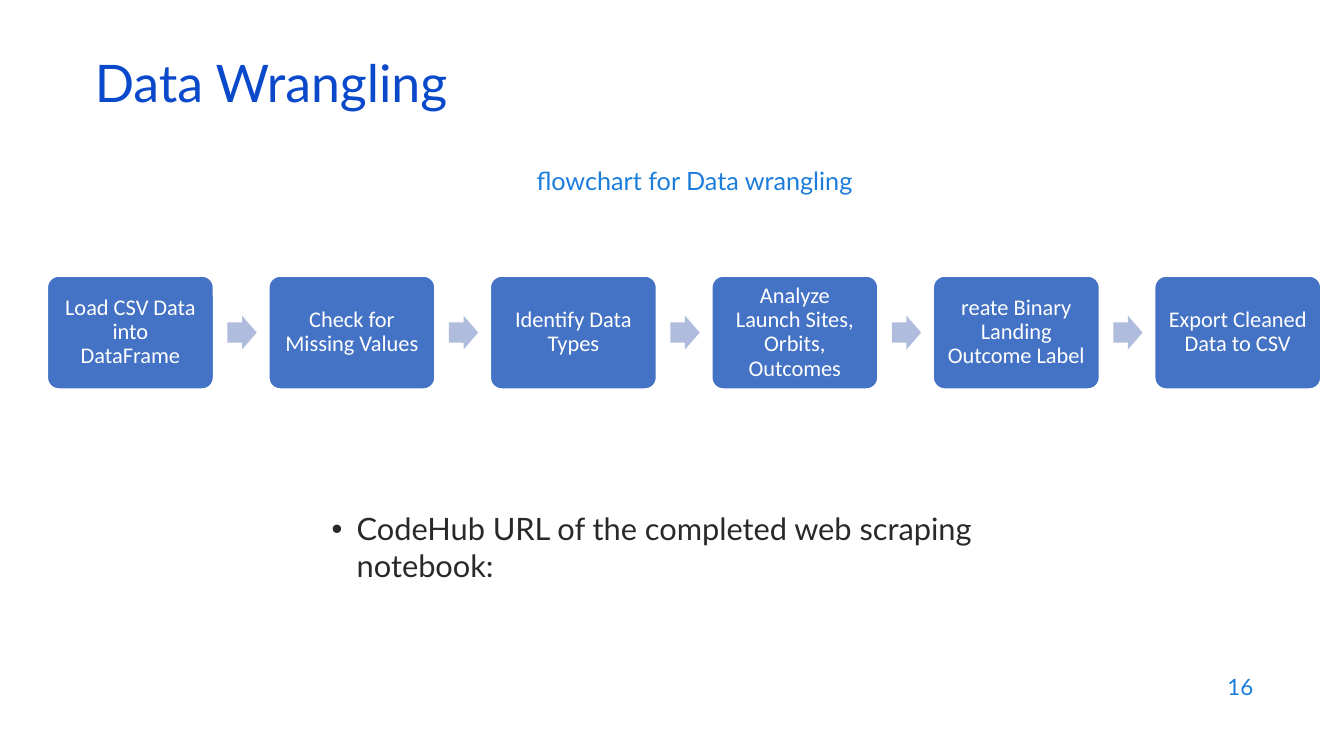
from pptx import Presentation
from pptx.dml.color import RGBColor
from pptx.enum.shapes import MSO_SHAPE as Shape
from pptx.enum.text import MSO_ANCHOR as Anchor, MSO_AUTO_SIZE as AutoSize, PP_ALIGN as Align
from pptx.oxml.ns import qn
from pptx.util import Inches, Pt
from lxml.etree import SubElement

COLORS = {
    "title": "0B49CB",
    "accent": "1C7DDB",
    "body": "292929",
    "card": "4472C4",
    "arrow": "B0BCDE",
    "white": "FFFFFF",
}
WIDTH, HEIGHT = Inches(13.33), Inches(7.5)
STEPS = [
    "Load CSV Data into DataFrame",
    "Check for Missing Values",
    "Identify Data Types",
    "Analyze Launch Sites, Orbits, Outcomes",
    "reate Binary Landing Outcome Label",
    "Export Cleaned Data to CSV",
]


def share_box(left, top, width, height):
    """Turn percentages of the slide into a box in EMU."""
    return [int(share * side / 100) for share, side in
            zip((left, top, width, height), (WIDTH, HEIGHT, WIDTH, HEIGHT))]


def write(shape, text, size, color, font="Lato", align=Align.LEFT, anchor=Anchor.TOP):
    """Put one formatted paragraph in a shape and return it."""
    frame = shape.text_frame
    frame.word_wrap = True
    frame.auto_size = AutoSize.NONE
    frame.vertical_anchor = anchor
    paragraph = frame.paragraphs[0]
    paragraph.text = text
    paragraph.alignment = align
    paragraph.font.size = Pt(size)
    paragraph.font.name = font
    paragraph.font.color.rgb = RGBColor.from_string(COLORS[color])
    return paragraph


def add_title(slide, box):
    """Place the slide title."""
    title = slide.shapes.title
    title.left, title.top, title.width, title.height = box
    paragraph = write(title, "Data Wrangling", 37, "title", anchor=Anchor.MIDDLE)
    paragraph.line_spacing = 0.7


def add_label(slide, box, text, size, align, anchor=Anchor.TOP):
    """Place a short accent-coloured text."""
    write(slide.shapes.add_textbox(*box), text, size, "accent", align=align, anchor=anchor)


def add_block(slide, kind, box, color, adjustments):
    """Draw a filled preset shape without shadow or line."""
    block = slide.shapes.add_shape(kind, *map(int, box))
    block.shadow.inherit = False
    block.fill.solid()
    block.fill.fore_color.rgb = RGBColor.from_string(COLORS[color])
    block.line.fill.background()
    for index, value in enumerate(adjustments):
        block.adjustments[index] = value
    return block


def add_flowchart(slide, box, steps):
    """Spread the steps evenly over the box, with an arrow in each gap."""
    left, top, width, height = box
    pitch = width / (len(steps) - 0.25)
    card_width, gap = pitch * 0.75, pitch * 0.25
    for index, step in enumerate(steps):
        card_left = left + index * pitch
        card = add_block(slide, Shape.ROUNDED_RECTANGLE,
                         (card_left, top, card_width, height), "card", [0.1])
        card.line.color.rgb = RGBColor.from_string(COLORS["white"])
        card.line.width = Pt(1)
        frame = card.text_frame
        frame.margin_left = frame.margin_right = Inches(0.1)
        paragraph = write(card, step, 16, "white", "Calibri", Align.CENTER, Anchor.MIDDLE)
        paragraph.line_spacing = 0.9
        if index < len(steps) - 1:
            arrow_box = (card_left + card_width + gap * 0.25, top + height * 0.35,
                         gap * 0.53, height * 0.3)
            add_block(slide, Shape.RIGHT_ARROW, arrow_box, "arrow", [0.6, 0.5])


def add_bullet(slide, box, text):
    """Place the bulleted note with a hanging indent."""
    textbox = slide.shapes.add_textbox(*box)
    properties = textbox.text_frame.paragraphs[0]._p.get_or_add_pPr()
    properties.set("marL", str(Inches(0.25)))
    properties.set("indent", str(-Inches(0.25)))
    SubElement(properties, qn("a:buFont"), typeface="Arial")
    SubElement(properties, qn("a:buChar"), char="•")
    write(textbox, text, 22, "body")


def main():
    """Build and save the slide."""
    presentation = Presentation()
    presentation.slide_width, presentation.slide_height = WIDTH, HEIGHT
    slide = presentation.slides.add_slide(presentation.slide_layouts[5])
    add_title(slide, share_box(6.3, 7.87, 86.27, 8))
    add_label(slide, share_box(36.23, 21.2, 30.9, 5.33),
              "flowchart for Data wrangling", 18, Align.CENTER)
    add_flowchart(slide, share_box(3.53, 36.53, 94.75, 14.93), STEPS)
    add_bullet(slide, share_box(23.93, 66.8, 51.31, 25.33),
               "CodeHub URL of the completed web scraping notebook:")
    add_label(slide, share_box(71.49, 87.87, 22.5, 5.87), "16", 16,
              Align.RIGHT, Anchor.MIDDLE)
    presentation.save("out.pptx")


if __name__ == "__main__":
    main()
